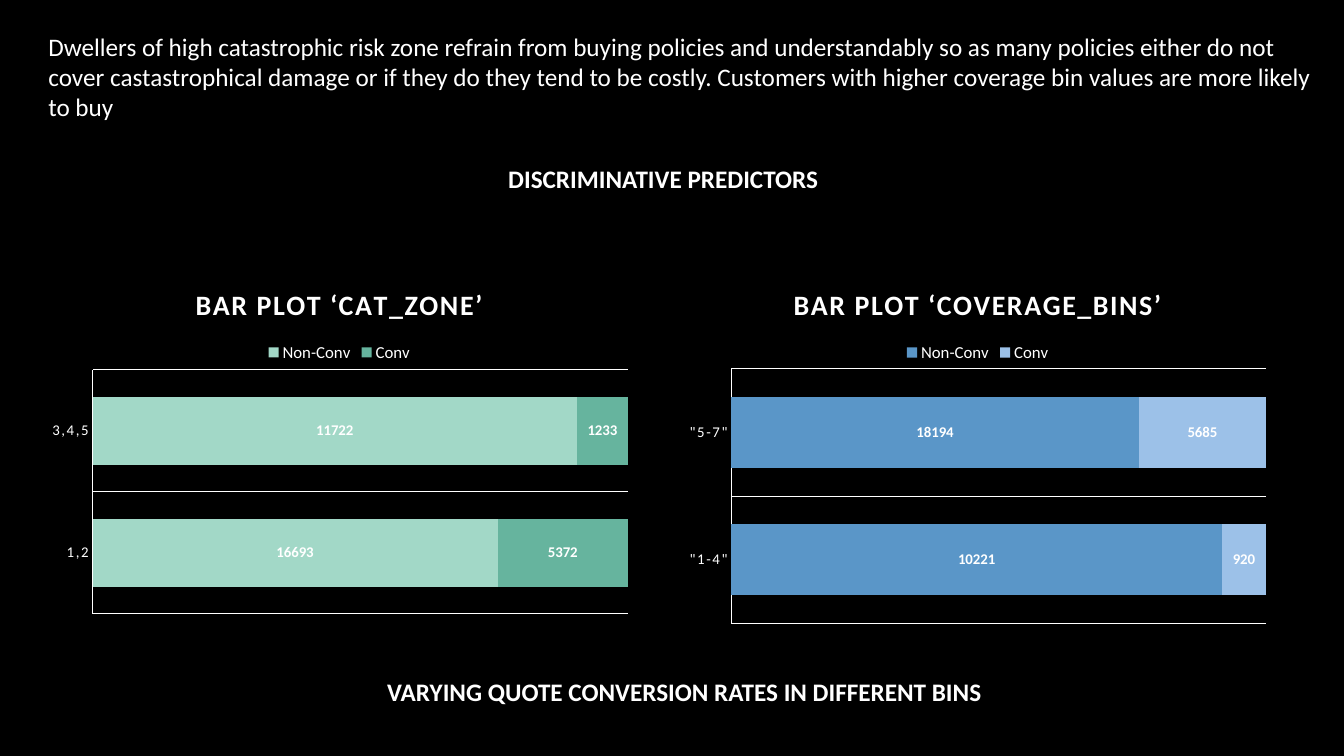
from lxml import etree
from pptx import Presentation
from pptx.chart.data import CategoryChartData
from pptx.dml.color import RGBColor
from pptx.enum.chart import XL_CHART_TYPE, XL_LEGEND_POSITION, XL_TICK_MARK
from pptx.enum.text import MSO_ANCHOR, MSO_AUTO_SIZE, PP_ALIGN
from pptx.oxml.ns import qn
from pptx.util import Cm, Pt

STACKED = XL_CHART_TYPE.BAR_STACKED_100
TOP = XL_LEGEND_POSITION.TOP
NO_TICK = XL_TICK_MARK.NONE
ANCHOR = MSO_ANCHOR.TOP
GROW = MSO_AUTO_SIZE.SHAPE_TO_FIT_TEXT
LEFT, CENTER = PP_ALIGN.LEFT, PP_ALIGN.CENTER
FACE, WHITE, BLACK = "Calibri", "FFFFFF", "000000"
TITLE_ONLY = 5


def color(code):
    """Turn a hex string into a colour."""
    return RGBColor.from_string(code)


def style(font, size, bold=False):
    """Set the white slide font."""
    font.name, font.size, font.bold = FACE, Pt(size), bold
    font.color.rgb = color(WHITE)


def write(shape, box, text, align, bold):
    """Place a shape and fill it with one paragraph."""
    shape.left, shape.top, shape.width, shape.height = map(Cm, box)
    frame = shape.text_frame
    frame.word_wrap, frame.auto_size = True, GROW
    frame.vertical_anchor = ANCHOR
    para = frame.paragraphs[0]
    para.alignment, para.line_spacing = align, 1.0
    run = para.add_run()
    run.text = text
    style(run.font, 18, bold)


def add_text(slide, box, text, align=LEFT, bold=False):
    """Add a text box."""
    write(slide.shapes.add_textbox(*map(Cm, box)), box, text, align, bold)


def set_plot(chart, tall):
    """Fix the inner plot area below the title and legend."""
    area = chart._chartSpace.chart.plotArea
    for old in area.findall(qn("c:layout")):
        area.remove(old)
    layout = etree.Element(qn("c:layout"))
    manual = etree.SubElement(layout, qn("c:manualLayout"))
    parts = {
        "layoutTarget": "inner", "xMode": "edge", "yMode": "edge",
        "x": 0.09, "y": round(2.57 / tall, 2),
        "w": 0.89, "h": round(1 - 2.75 / tall, 2),
    }
    for name, value in parts.items():
        etree.SubElement(manual, qn("c:" + name)).set("val", str(value))
    area.insert(0, layout)


def set_axes(chart):
    """Show the category axis and hide the value axis."""
    axis = chart.category_axis
    axis.major_tick_mark = axis.minor_tick_mark = NO_TICK
    axis.has_major_gridlines = True
    for line in (axis.format.line, axis.major_gridlines.format.line):
        line.color.rgb, line.width = color(WHITE), Pt(0.75)
    font = axis.tick_labels.font
    style(font, 10.6)
    font._rPr.set("spc", "120")
    chart.value_axis.has_major_gridlines = False
    chart.value_axis.visible = False


def add_bars(slide, box, title, cats, rows):
    """Add a stacked bar chart from (name, values, colour) rows."""
    data = CategoryChartData()
    data.categories = cats
    for name, values, _ in rows:
        data.add_series(name, values)
    chart = slide.shapes.add_chart(STACKED, *map(Cm, box), data).chart
    style(chart.font, 10)
    chart.has_title = True
    run = chart.chart_title.text_frame.paragraphs[0].add_run()
    run.text = title
    style(run.font, 20, True)
    run.font._element.set("spc", "100")
    chart.chart_title.include_in_layout = False
    chart.has_legend = True
    chart.legend.position = TOP
    chart.legend.include_in_layout = False
    style(chart.legend.font, 12)
    plot = chart.plots[0]
    plot.gap_width, plot.overlap, plot.vary_by_categories = 79, 100, False
    for series, (_, _, code) in zip(plot.series, rows):
        series.format.fill.solid()
        series.format.fill.fore_color.rgb = color(code)
        labels = series.data_labels
        labels.show_value = True
        style(labels.font, 10.6, True)
    set_axes(chart)
    set_plot(chart, box[3])


def main():
    """Build the slide and save it."""
    deck = Presentation()
    deck.slide_width, deck.slide_height = Cm(33.87), Cm(19.05)
    slide = deck.slides.add_slide(deck.slide_layouts[TITLE_ONLY])
    slide.background.fill.solid()
    slide.background.fill.fore_color.rgb = color(BLACK)
    write(slide.shapes.title, (11.71, 3.99, 10.01, 1.02),
          "DISCRIMINATIVE PREDICTORS", CENTER, True)
    add_text(slide, (8.26, 16.92, 17.98, 1.02),
             "VARYING QUOTE CONVERSION RATES IN DIFFERENT BINS", CENTER, True)
    add_text(slide, (0.97, 0.66, 32.56, 2.57),
             "Dwellers of high catastrophic risk zone refrain from buying "
             "policies and understandably so as many policies either do not "
             "cover castastrophical damage or if they do they tend to be "
             "costly. Customers with higher coverage bin values are more "
             "likely to buy")
    add_bars(slide, (0.97, 6.73, 15.16, 8.92), "BAR PLOT ‘CAT_ZONE’",
             ["1,2", "3,4,5"],
             [("Non-Conv", (16693, 11722), "A2D8C7"),
              ("Conv", (5372, 1233), "66B49E")])
    add_bars(slide, (17.07, 6.73, 15.14, 9.17), "BAR PLOT ‘COVERAGE_BINS’",
             ['"1-4"', '"5-7"'],
             [("Non-Conv", (10221, 18194), "5A96C8"),
              ("Conv", (920, 5685), "9CC1E8")])
    deck.save("out.pptx")


if __name__ == "__main__":
    main()
